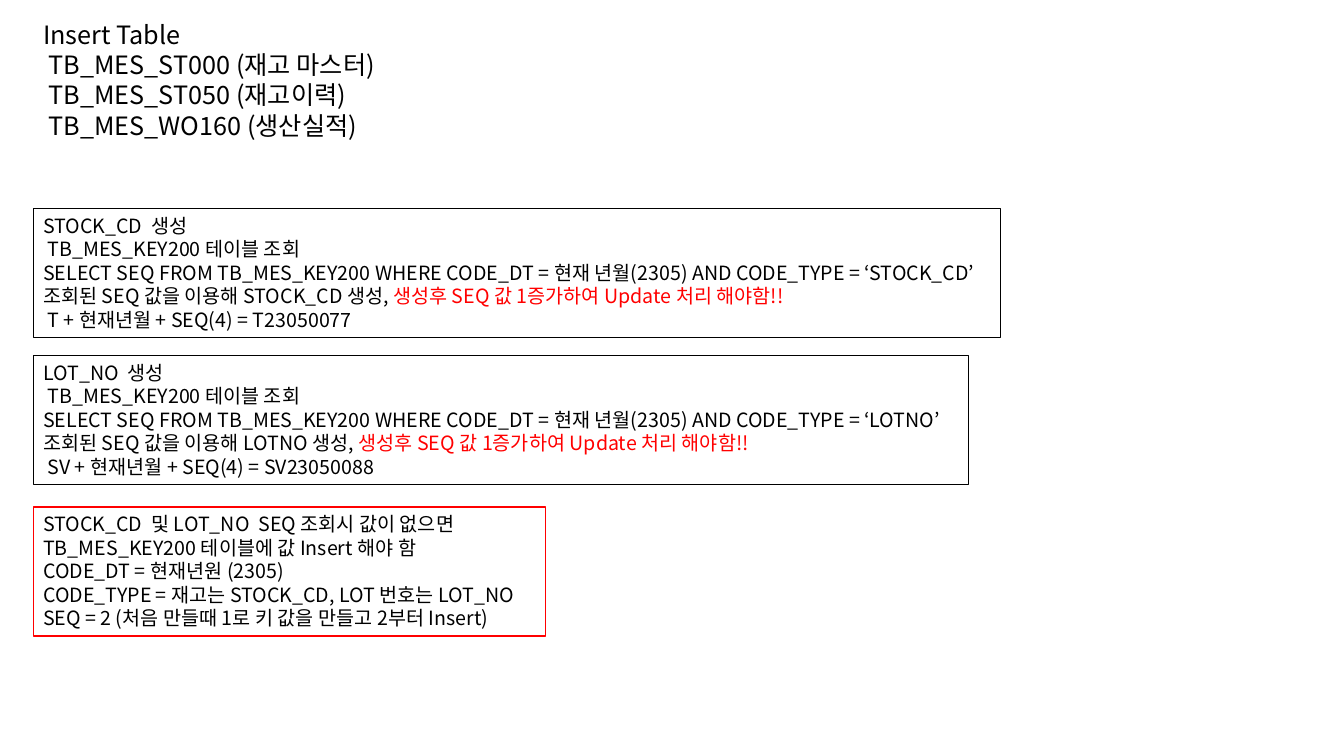
from pptx import Presentation
from pptx.dml.color import RGBColor
from pptx.enum.shapes import MSO_SHAPE
from pptx.enum.text import MSO_ANCHOR, MSO_AUTO_SIZE, PP_ALIGN
from pptx.oxml.ns import qn
from pptx.util import Inches, Pt
from lxml.etree import SubElement

COLORS = {"text": "000000", "alert": "FF0000"}
FONT = "Noto Sans CJK KR"
LEFT = 0.33
UPDATE_WARNING = "생성후 SEQ 값 1증가하여 Update 처리 해야함!!"


def rgb(name):
    return RGBColor.from_string(COLORS[name])


def add_run(paragraph, text, size, color):
    run = paragraph.add_run()
    run.text = text
    run.font.size = Pt(size)
    run.font.name = FONT
    run.font.color.rgb = rgb(color)
    SubElement(run.font._element, qn("a:ea"), typeface=FONT)


def write_lines(frame, lines, size):
    frame.word_wrap = False
    frame.auto_size = MSO_AUTO_SIZE.SHAPE_TO_FIT_TEXT
    frame.vertical_anchor = MSO_ANCHOR.TOP
    for index, line in enumerate(lines):
        paragraph = frame.add_paragraph() if index else frame.paragraphs[0]
        paragraph.alignment = PP_ALIGN.LEFT
        for text, color in line:
            add_run(paragraph, text, size, color)


def plain(*texts):
    return [[(text, "text")] for text in texts]


def add_table_list(slide, lines):
    table_list = slide.shapes.add_textbox(
        Inches(LEFT), Inches(0.14), Inches(3.57), Inches(1.31))
    write_lines(table_list.text_frame, lines, 18)


def add_note(slide, top, width, lines, border="text"):
    note = slide.shapes.add_shape(
        MSO_SHAPE.RECTANGLE, Inches(LEFT), Inches(top), Inches(width), Inches(1.28))
    note.shadow.inherit = False
    note.fill.background()
    note.line.color.rgb = rgb(border)
    note.line.width = Pt(0.75)
    write_lines(note.text_frame, lines, 14)


def key_lines(title, code_type, prefix, example):
    return [
        *plain(
            f"{title}  생성",
            " TB_MES_KEY200 테이블 조회",
            "SELECT SEQ FROM TB_MES_KEY200 WHERE CODE_DT = 현재 년월(2305)"
            f" AND CODE_TYPE = ‘{code_type}’",
        ),
        [(f"조회된 SEQ 값을 이용해 {code_type} 생성, ", "text"), (UPDATE_WARNING, "alert")],
        *plain(f" {prefix} + 현재년월 + SEQ(4) = {example}"),
    ]


def main():
    presentation = Presentation()
    presentation.slide_width = Inches(13.33)
    presentation.slide_height = Inches(7.5)
    slide = presentation.slides.add_slide(presentation.slide_layouts[6])

    add_table_list(slide, plain(
        "Insert Table",
        " TB_MES_ST000 (재고 마스터)",
        " TB_MES_ST050 (재고이력)",
        " TB_MES_WO160 (생산실적)",
    ))
    add_note(slide, 5.03, 5.08, plain(
        "STOCK_CD  및 LOT_NO  SEQ 조회시 값이 없으면",
        "TB_MES_KEY200 테이블에 값 Insert 해야 함",
        "CODE_DT = 현재년원 (2305)",
        "CODE_TYPE = 재고는 STOCK_CD, LOT 번호는 LOT_NO",
        "SEQ = 2 (처음 만들때 1로 키 값을 만들고 2부터 Insert)",
    ), border="alert")
    add_note(slide, 2.07, 9.59, key_lines("STOCK_CD", "STOCK_CD", "T", "T23050077"))
    add_note(slide, 3.53, 9.28, key_lines("LOT_NO", "LOTNO", "SV", "SV23050088"))

    presentation.save("out.pptx")


if __name__ == "__main__":
    main()
